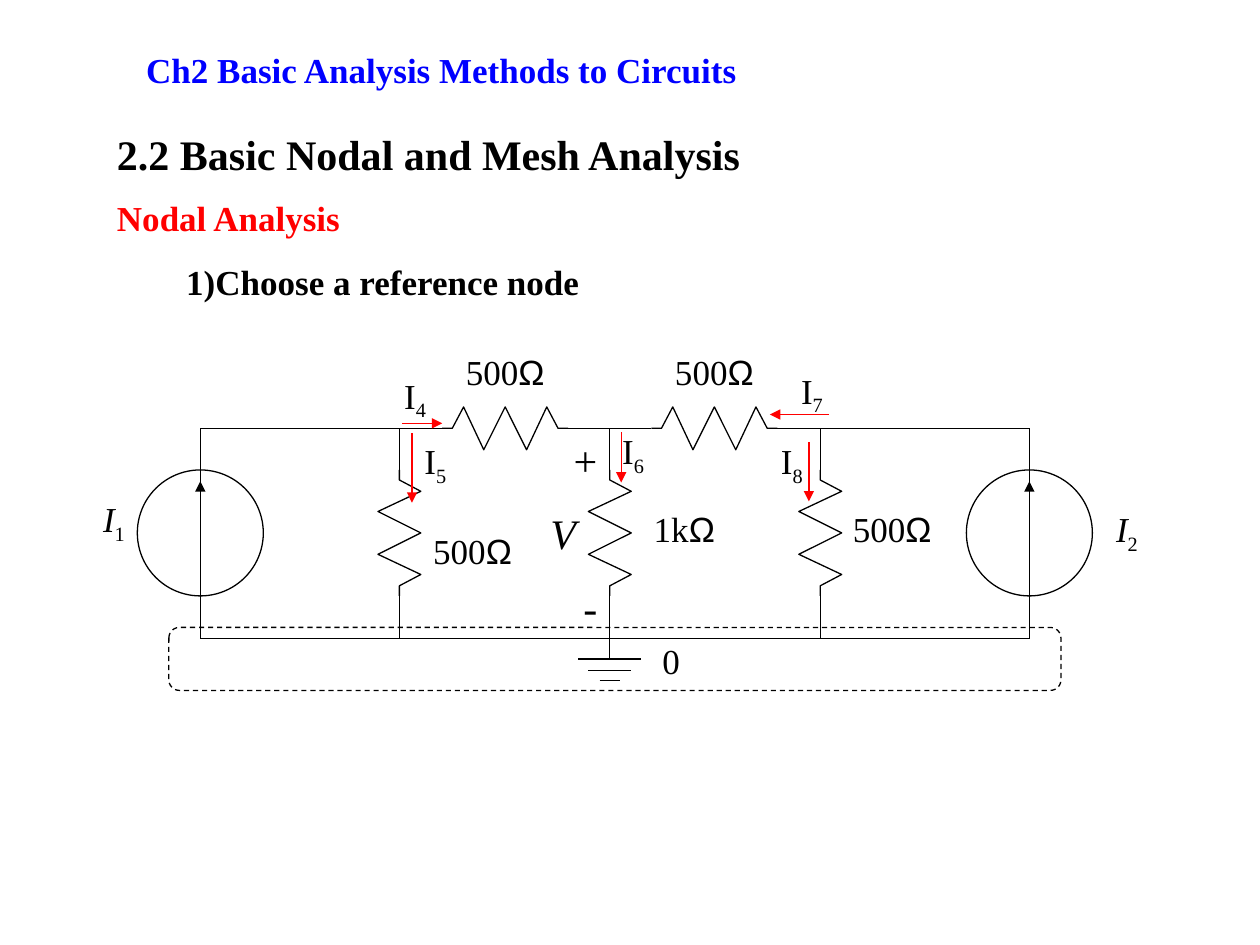
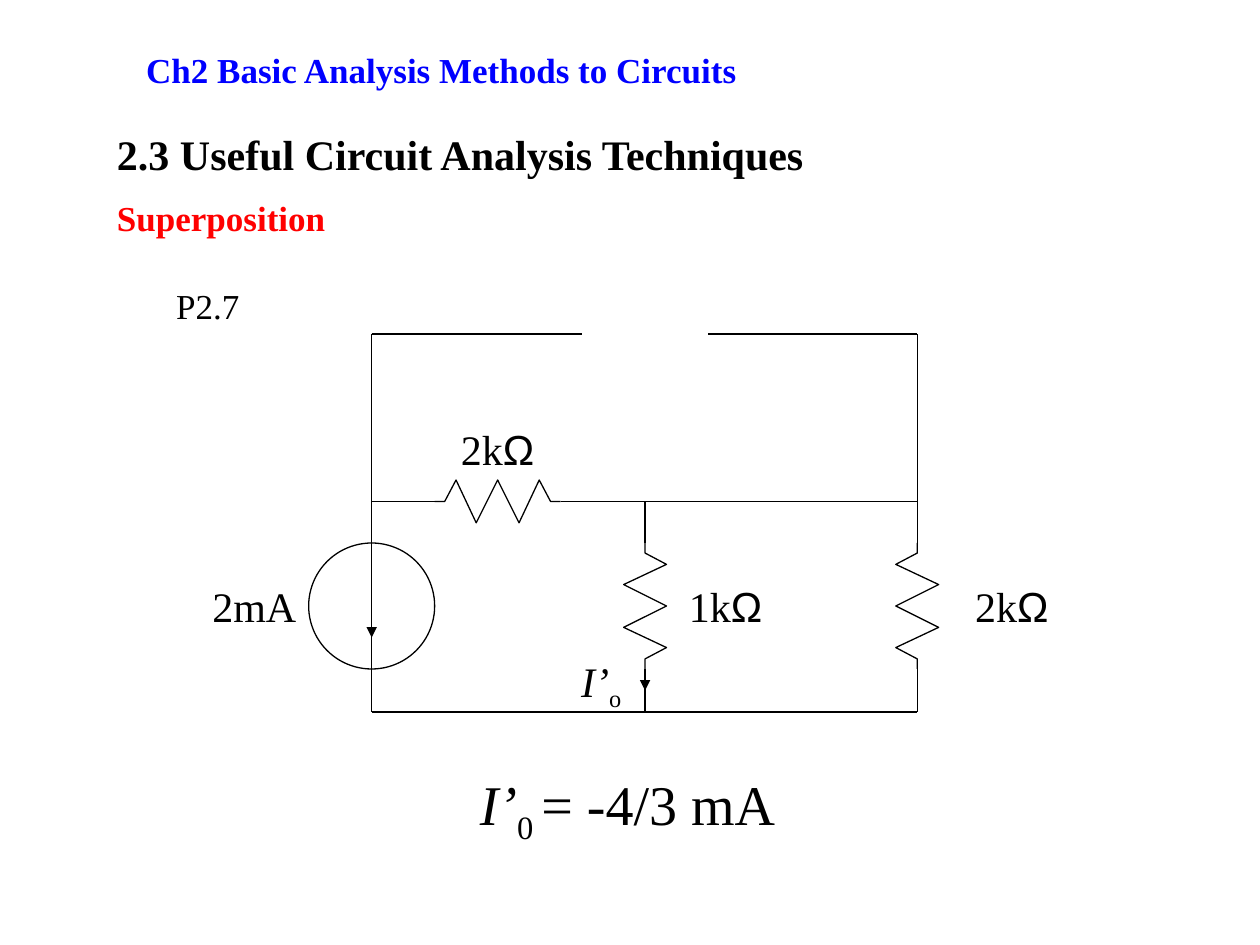
"""Build two circuit analysis slides: nodal analysis and superposition."""
from dataclasses import dataclass

from lxml import etree
from pptx import Presentation
from pptx.dml.color import RGBColor
from pptx.enum.dml import MSO_LINE
from pptx.enum.shapes import MSO_CONNECTOR, MSO_SHAPE
from pptx.enum.text import MSO_ANCHOR, MSO_AUTO_SIZE, PP_ALIGN
from pptx.oxml.ns import qn
from pptx.util import Pt

PX = 9144
LEFT, CENTER, RIGHT = PP_ALIGN.LEFT, PP_ALIGN.CENTER, PP_ALIGN.RIGHT
TOP, MIDDLE = MSO_ANCHOR.TOP, MSO_ANCHOR.MIDDLE
STRAIGHT = MSO_CONNECTOR.STRAIGHT
ELLIPSE, ROUNDED = MSO_SHAPE.OVAL, MSO_SHAPE.ROUNDED_RECTANGLE
DASH, NO_AUTOFIT = MSO_LINE.DASH, MSO_AUTO_SIZE.NONE


@dataclass(frozen=True)
class Theme:
    """Colours, fonts and type sizes shared by the slides."""
    ink: RGBColor = RGBColor(0, 0, 0)
    blue: RGBColor = RGBColor(0, 0, 255)
    red: RGBColor = RGBColor(255, 0, 0)
    white: RGBColor = RGBColor(255, 255, 255)
    font: str = "Times New Roman"
    symbol_font: str = "Arial"
    body: int = 20
    large: int = 24
    equation: int = 32
    line: float = 0.75


THEME = Theme()
BODY, LARGE = THEME.body, THEME.large
STYLES = {
    "plain": {},
    "bold": {"bold": True},
    "italic": {"italic": True},
    "symbol": {"name": THEME.symbol_font},
    "sub": {},
}
SUBSCRIPT = "-25000"

PAGE_SIZE = (1000, 750)
TITLE = "Ch2 Basic Analysis Methods to Circuits"
TITLE_BOX = (106, 28, 819, 55)
SECTION_BOX = (83, 97, 608, 50)
TOPIC_BOX = (83, 151, 473, 44)

RESISTOR_LENGTH = 100
ZIGZAG = [(0, 0), (8, 0), (17, 1), (33, -1), (50, 1), (67, -1), (83, 1), (92, 0), (100, 0)]
ZIGZAG_SWING = 17
SOURCE_SIZE = 100
BRANCH_HEIGHT = 167
LEAD = 33


def ohms(value):
    """Return the runs of a resistance label."""
    return [(value, "plain"), ("Ω", "symbol")]


def current(number, style="plain"):
    """Return the runs of a current label."""
    return [("I", style), (number, "sub")]


NODAL = {
    "section": "2.2 Basic Nodal and Mesh Analysis",
    "topic": "Nodal Analysis",
    "rails": [(159, 817, 340, [351, 517]), (159, 817, 507, [])],
    "branches": [(317, 340, 1), (484, 340, 1), (651, 340, 1)],
    "sources": [(159, 340), (817, 340)],
    "wires": [(159, 340, 159, 507), (817, 340, 817, 507)],
    "arrows": [
        (159, 457, 159, 382, THEME.ink), (817, 457, 817, 382, THEME.ink),
        (319, 336, 351, 336, THEME.red), (327, 344, 327, 399, THEME.red),
        (493, 343, 493, 383, THEME.red), (658, 329, 611, 329, THEME.red),
        (642, 351, 642, 398, THEME.red),
    ],
    "labels": [
        ([("1)Choose a reference node", "bold")], (138, 202, 386, 44), LEFT, BODY),
        ([("+", "plain")], (384, 340, 100, 50), RIGHT, LARGE),
        ([("-", "plain")], (384, 457, 100, 50), RIGHT, LARGE),
        ([("V", "italic")], (409, 398, 58, 50), RIGHT, LARGE),
        (ohms("500"), (351, 273, 100, 44), CENTER, BODY),
        (ohms("500"), (517, 273, 100, 44), CENTER, BODY),
        (ohms("500"), (334, 415, 100, 44), LEFT, BODY),
        (ohms("1k"), (509, 398, 100, 44), LEFT, BODY),
        (ohms("500"), (667, 398, 100, 44), LEFT, BODY),
        (current("1", "italic"), (59, 390, 50, 48), RIGHT, BODY),
        (current("2", "italic"), (876, 398, 50, 48), LEFT, BODY),
        (current("4"), (311, 292, 63, 48), LEFT, BODY),
        (current("5"), (327, 344, 63, 48), LEFT, BODY),
        (current("6"), (484, 336, 63, 48), LEFT, BODY),
        (current("7"), (626, 288, 63, 48), LEFT, BODY),
        (current("8"), (610, 344, 63, 48), LEFT, BODY),
    ],
}
REFERENCE_BOX = (134, 498, 708, 50)
REFERENCE_LABEL = (516, 509, 60, 38)
GROUND_X, GROUND_TOP = 484, 507
GROUND_BARS = [(523, 25), (532, 17), (540, 8)]

SUPERPOSITION = {
    "section": "2.3 Useful Circuit Analysis Techniques",
    "topic": "Superposition",
    "rails": [(295, 462, 265, []), (562, 728, 265, []),
              (295, 728, 398, [345]), (295, 728, 565, [])],
    "branches": [(512, 398, 1), (728, 398, -1)],
    "sources": [(295, 398)],
    "wires": [(295, 265, 295, 565), (728, 265, 728, 398)],
    "arrows": [(295, 456, 295, 506, THEME.ink), (512, 531, 512, 548, THEME.ink)],
    "labels": [
        ([("P2.7", "plain")], (130, 221, 110, 44), LEFT, BODY),
        (ohms("2k"), (345, 331, 100, 50), CENTER, LARGE),
        (ohms("1k"), (537, 456, 100, 50), LEFT, LARGE),
        (ohms("2k"), (753, 456, 100, 50), CENTER, LARGE),
        ([("2mA", "plain")], (153, 456, 92, 50), RIGHT, LARGE),
        ([("I’", "italic"), ("o", "sub")], (445, 515, 58, 56), RIGHT, LARGE),
    ],
}
EQUATION = [("I’", "italic"), ("0 ", "sub"), ("= -4/3 mA", "plain")]
EQUATION_BOX = (371, 606, 254, 71)


def scaled(lengths):
    """Turn px lengths into EMU."""
    return [length * PX for length in lengths]


def apply(target, values):
    """Set each named attribute on the target."""
    for name, value in values.items():
        setattr(target, name, value)


def write(shape, runs, size, align=LEFT, color=THEME.ink, anchor=TOP, wrap=True):
    """Write one formatted paragraph into a shape."""
    frame = shape.text_frame
    apply(frame, {"word_wrap": wrap, "auto_size": NO_AUTOFIT, "vertical_anchor": anchor})
    para = frame.paragraphs[0]
    apply(para, {"alignment": align, "space_before": Pt(0)})
    for text, style in runs:
        span = para.add_run()
        span.text = text
        span.font.color.rgb = color
        apply(span.font, {"name": THEME.font, "size": Pt(size), "bold": False,
                          "italic": False, **STYLES[style]})
        if style == "sub":
            span._r.get_or_add_rPr().set("baseline", SUBSCRIPT)
    return para


def add_label(page, runs, area, align, size, **options):
    """Add a text box and return it with its paragraph."""
    box = page.shapes.add_textbox(*scaled(area))
    return box, write(box, runs, size, align, **options)


def outline(shape):
    """Give a shape a plain thin outline and no fill."""
    shape.shadow.inherit = False
    shape.fill.background()
    shape.line.color.rgb = THEME.ink
    shape.line.width = Pt(THEME.line)


def add_wire(page, ends, color=THEME.ink, arrow=False):
    """Add a straight wire, with an arrowhead at its end on request."""
    wire = page.shapes.add_connector(STRAIGHT, *scaled(ends))
    wire.line.color.rgb = color
    wire.line.width = Pt(THEME.line)
    if arrow:
        etree.SubElement(wire.line._get_or_add_ln(), qn("a:tailEnd"), type="triangle")
    etree.SubElement(wire._element.spPr, qn("a:effectLst"))


def add_resistor(page, x, y, swing, vertical):
    """Add a zigzag resistor that starts at a point."""
    steps = [(along, side * swing * ZIGZAG_SWING) for along, side in ZIGZAG]
    points = [(x + across, y + along) if vertical else (x + along, y + across)
              for along, across in steps]
    builder = page.shapes.build_freeform(*points[0], scale=PX)
    builder.add_line_segments(points[1:], close=False)
    outline(builder.convert_to_shape())


def add_rail(page, left, right, y, resistors):
    """Add a horizontal wire interrupted by resistors."""
    for start in resistors:
        add_wire(page, (left, y, start, y))
        add_resistor(page, start, y, -1, False)
        left = start + RESISTOR_LENGTH
    add_wire(page, (left, y, right, y))


def add_branch(page, x, top, swing):
    """Add a vertical resistor between two leads."""
    start = top + LEAD
    add_wire(page, (x, top, x, start))
    add_resistor(page, x, start, swing, True)
    add_wire(page, (x, start + RESISTOR_LENGTH, x, top + BRANCH_HEIGHT))


def add_source(page, x, top):
    """Add the circle of a current source."""
    area = (x - SOURCE_SIZE // 2, top + LEAD, SOURCE_SIZE, SOURCE_SIZE)
    outline(page.shapes.add_shape(ELLIPSE, *scaled(area)))


def add_page(deck, content):
    """Add a slide with its headings, circuit and labels."""
    page = deck.slides.add_slide(deck.slide_layouts[5])
    title = page.shapes.title
    apply(title, dict(zip(("left", "top", "width", "height"), scaled(TITLE_BOX))))
    write(title, [(TITLE, "bold")], BODY, color=THEME.blue, anchor=MIDDLE)
    add_label(page, [(content["section"], "bold")], SECTION_BOX, LEFT, LARGE)
    add_label(page, [(content["topic"], "bold")], TOPIC_BOX, LEFT, BODY, color=THEME.red)
    for rail in content["rails"]:
        add_rail(page, *rail)
    for branch in content["branches"]:
        add_branch(page, *branch)
    for source in content["sources"]:
        add_source(page, *source)
    for ends in content["wires"]:
        add_wire(page, ends)
    for *ends, color in content["arrows"]:
        add_wire(page, ends, color, arrow=True)
    for label in content["labels"]:
        add_label(page, *label)
    return page


def add_reference_node(page):
    """Add the dashed reference node with its ground symbol."""
    node = page.shapes.add_shape(ROUNDED, *scaled(REFERENCE_BOX))
    outline(node)
    node.line.dash_style = DASH
    add_wire(page, (GROUND_X, GROUND_TOP, GROUND_X, GROUND_BARS[0][0]))
    for y, reach in GROUND_BARS:
        add_wire(page, (GROUND_X - reach, y, GROUND_X + reach, y))
    para = add_label(page, [("0", "plain")], REFERENCE_LABEL, LEFT, BODY)[1]
    para.line_spacing = 0.8


def add_equation(page):
    """Add the resulting current on a white ground."""
    box = add_label(page, EQUATION, EQUATION_BOX, LEFT, THEME.equation, wrap=False)[0]
    box.fill.solid()
    box.fill.fore_color.rgb = THEME.white


def main():
    """Build and save the deck."""
    deck = Presentation()
    deck.slide_width, deck.slide_height = scaled(PAGE_SIZE)
    add_reference_node(add_page(deck, NODAL))
    add_equation(add_page(deck, SUPERPOSITION))
    deck.save("out.pptx")


if __name__ == "__main__":
    main()
